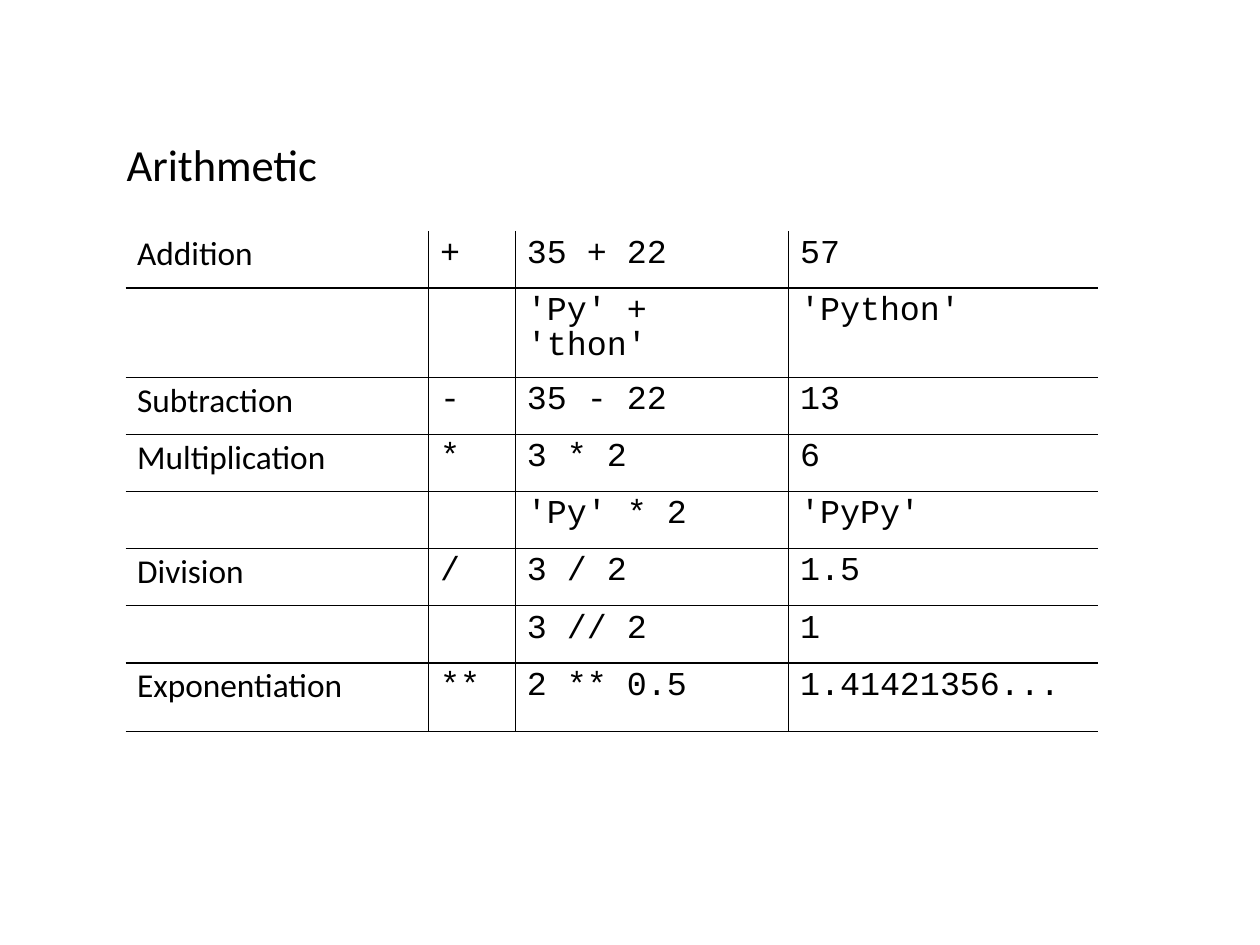
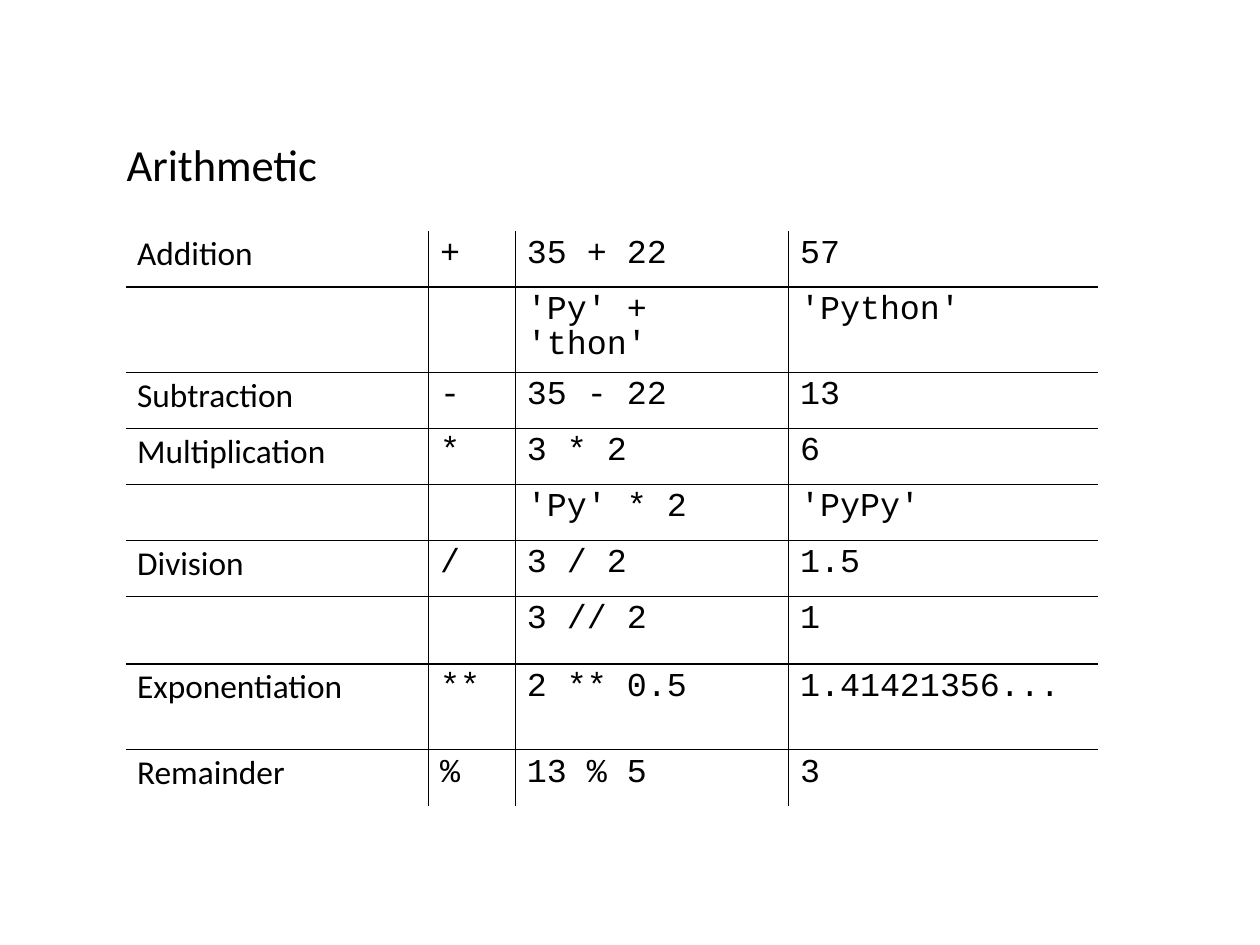
from lxml import etree
from pptx import Presentation
from pptx import util as u
from pptx.dml.color import RGBColor
from pptx.enum import text
from pptx.oxml import ns

# Content: operation, operator, example, result
TITLE = "Arithmetic"
OPERATIONS = [
    ("Addition", "+", "35 + 22", "57"),
    ("", "", "'Py' + 'thon'", "'Python'"),
    ("Subtraction", "-", "35 - 22", "13"),
    ("Multiplication", "*", "3 * 2", "6"),
    ("", "", "'Py' * 2", "'PyPy'"),
    ("Division", "/", "3 / 2", "1.5"),
    ("", "", "3 // 2", "1"),
    ("Exponentiation", "**", "2 ** 0.5", "1.41421356..."),
]
REMAINDER = ("Remainder", "%", "13 % 5", "3")
SLIDES = [
    {"rows": OPERATIONS, "closed": True,
     "heights": [0.5, 0.78, 0.5, 0.5, 0.5, 0.5, 0.5, 0.6]},
    {"rows": OPERATIONS + [REMAINDER], "closed": False,
     "heights": [0.49, 0.75, 0.49, 0.49, 0.49, 0.49, 0.59, 0.75, 0.49]},
]

# Shared style
CM_PER_INCH = 2.54
COLORS = {"ink": "000000", "paper": "FFFFFF"}
BODY_FONT, CODE_FONT = "Calibri", "Courier New"
COLUMN_WIDTHS = [2.65, 0.76, 2.39, 2.71]
TITLE_FORMAT = {"name": BODY_FONT, "size": u.Pt(28)}
CELL_SPACING = {"line_spacing": 0.93, "space_after": u.Pt(14.2)}
CELL_MARGINS = {"margin_left": 0.1, "margin_right": 0.1,
                "margin_top": 0.04, "margin_bottom": 0.04}


def set_all(target, values):
    for name, value in values.items():
        setattr(target, name, value)


def add_span(para, words, font_format):
    span = para.add_run()
    span.text = words
    set_all(span.font, font_format)
    span.font.color.rgb = RGBColor.from_string(COLORS["ink"])


def add_title(page):
    box = page.shapes.add_textbox(*map(u.Inches, (1.01, 0.92, 1.89, 0.73)))
    set_all(box.text_frame, {"word_wrap": False,
                             "auto_size": text.MSO_AUTO_SIZE.SHAPE_TO_FIT_TEXT})
    para = box.text_frame.paragraphs[0]
    para.line_spacing = 1.5
    # Hanging indent
    properties = para._p.get_or_add_pPr()
    properties.set("marL", str(u.Inches(0.5)))
    properties.set("indent", str(u.Inches(-0.5)))
    add_span(para, TITLE, TITLE_FORMAT)


def set_borders(cell, visible):
    """Draw the borders that are visible; visible follows left, right, top, bottom."""
    properties = cell._tc.get_or_add_tcPr()
    for place, (side, shown) in enumerate(zip("LRTB", visible)):
        line = etree.Element(ns.qn(f"a:ln{side}"), w=str(u.Pt(1)))
        fill = etree.SubElement(line, ns.qn("a:solidFill" if shown else "a:noFill"))
        if shown:
            etree.SubElement(fill, ns.qn("a:srgbClr"), val=COLORS["ink"])
        properties.insert(place, line)


def add_operations(page, rows, heights, closed):
    frame = page.shapes.add_table(
        len(rows), len(COLUMN_WIDTHS), u.Inches(1.1), u.Inches(2.02),
        u.Inches(sum(COLUMN_WIDTHS)), u.Inches(sum(heights)))
    table = frame.table
    set_all(table, {"first_row": False, "horz_banding": False})
    for column, width in zip(table.columns, COLUMN_WIDTHS):
        column.width = u.Inches(width)
    for row, height in zip(table.rows, heights):
        row.height = u.Inches(height)

    last_row, last_column = len(rows) - 1, len(COLUMN_WIDTHS) - 1
    for r, values in enumerate(rows):
        for c, words in enumerate(values):
            cell = table.cell(r, c)
            cell.fill.background()
            set_all(cell, {side: u.Inches(gap) for side, gap in CELL_MARGINS.items()})
            # Inner grid lines, plus the bottom edge of a closed table
            set_borders(cell, (c > 0, c < last_column, r > 0, r < last_row or closed))
            if words:
                para = cell.text_frame.paragraphs[0]
                set_all(para, CELL_SPACING)
                add_span(para, words, {"name": CODE_FONT if c else BODY_FONT,
                                       "size": u.Pt(21)})


def main():
    deck = Presentation()
    # The page measures 28 by 21 cm
    deck.slide_width = u.Inches(28 / CM_PER_INCH)
    deck.slide_height = u.Inches(21 / CM_PER_INCH)
    for content in SLIDES:
        page = deck.slides.add_slide(deck.slide_layouts[6])
        page.background.fill.solid()
        page.background.fill.fore_color.rgb = RGBColor.from_string(COLORS["paper"])
        add_title(page)
        add_operations(page, **content)
    deck.save("out.pptx")


if __name__ == "__main__":
    main()
